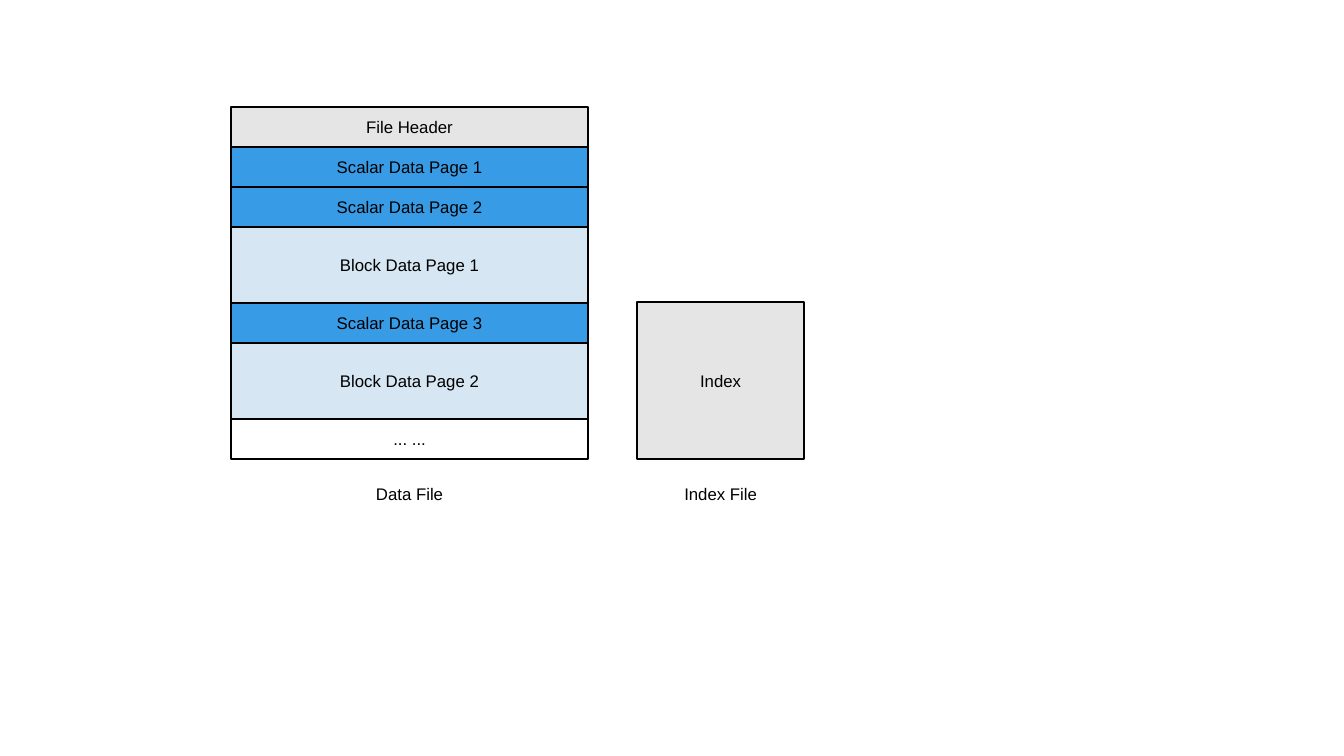
from pptx import Presentation
from pptx.dml.color import RGBColor
from pptx.enum.shapes import MSO_SHAPE as SHAPE
from pptx.enum.text import MSO_ANCHOR as ANCHOR, PP_ALIGN as ALIGN
from pptx.util import Emu, Inches, Pt

# Content
GREY, BLUE, PALE, WHITE, BLACK = "E5E5E5", "379BE6", "D6E6F2", "FFFFFF", "000000"
ROW, BLOCK = 40, 76  # heights of the sections
DATA_SECTIONS = [
    ("File Header", ROW, GREY),
    ("Scalar Data Page 1", ROW, BLUE),
    ("Scalar Data Page 2", ROW, BLUE),
    ("Block Data Page 1", BLOCK, PALE),
    ("Scalar Data Page 3", ROW, BLUE),
    ("Block Data Page 2", BLOCK, PALE),
    ("... ...", ROW, WHITE),
]

# Layout in pixels
DATA_LEFT, DATA_TOP, DATA_WIDTH = 231, 107, 357
INDEX_LEFT, INDEX_WIDTH, INDEX_HEIGHT = 637, 167, 157
CAPTION_WIDTH, CAPTION_HEIGHT, CAPTION_GAP = 169, 30, 20


def px(length):
    return Emu(round(length * 914400 / 100.8))


def color(hex_text):
    return RGBColor.from_string(hex_text)


def write(shape, text, anchor):
    frame = shape.text_frame
    frame.word_wrap = True
    frame.vertical_anchor = anchor
    para = frame.paragraphs[0]
    para.alignment = ALIGN.CENTER
    span = para.add_run()
    span.text = text
    span.font.name = "Arial"
    span.font.size = Pt(12)
    span.font.color.rgb = color(BLACK)


def add_section(page, text, left, top, width, height, fill):
    box = page.shapes.add_shape(SHAPE.RECTANGLE, px(left), px(top), px(width), px(height))
    box.shadow.inherit = False
    box.fill.solid()
    box.fill.fore_color.rgb = color(fill)
    box.line.color.rgb = color(BLACK)
    box.line.width = Pt(1)
    write(box, text, ANCHOR.MIDDLE)


def add_caption(page, text, center, top):
    left = center - CAPTION_WIDTH / 2
    box = page.shapes.add_textbox(px(left), px(top), px(CAPTION_WIDTH), px(CAPTION_HEIGHT))
    write(box, text, ANCHOR.TOP)


deck = Presentation()
deck.slide_width, deck.slide_height = Inches(13.33), Inches(7.5)
page = deck.slides.add_slide(deck.slide_layouts[6])

# Data file: sections stacked from the top
bottom = DATA_TOP
for text, height, fill in DATA_SECTIONS:
    add_section(page, text, DATA_LEFT, bottom, DATA_WIDTH, height, fill)
    bottom += height

# Index file: ends level with the data file
add_section(page, "Index", INDEX_LEFT, bottom - INDEX_HEIGHT, INDEX_WIDTH, INDEX_HEIGHT, GREY)

# Captions centred under both files
for text, left, width in [
    ("Data File", DATA_LEFT, DATA_WIDTH),
    ("Index File", INDEX_LEFT, INDEX_WIDTH),
]:
    add_caption(page, text, left + width / 2, bottom + CAPTION_GAP)

deck.save("out.pptx")
